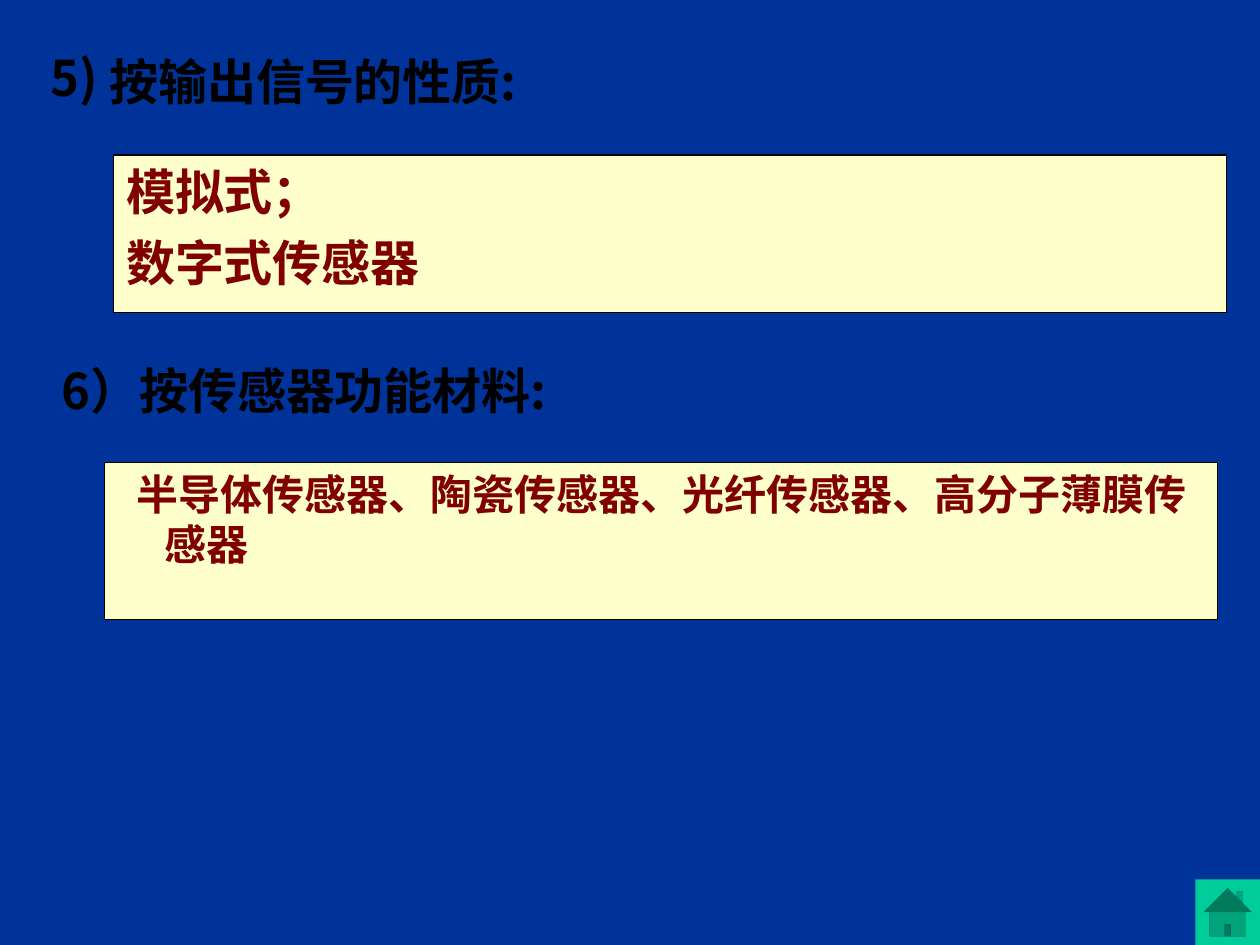
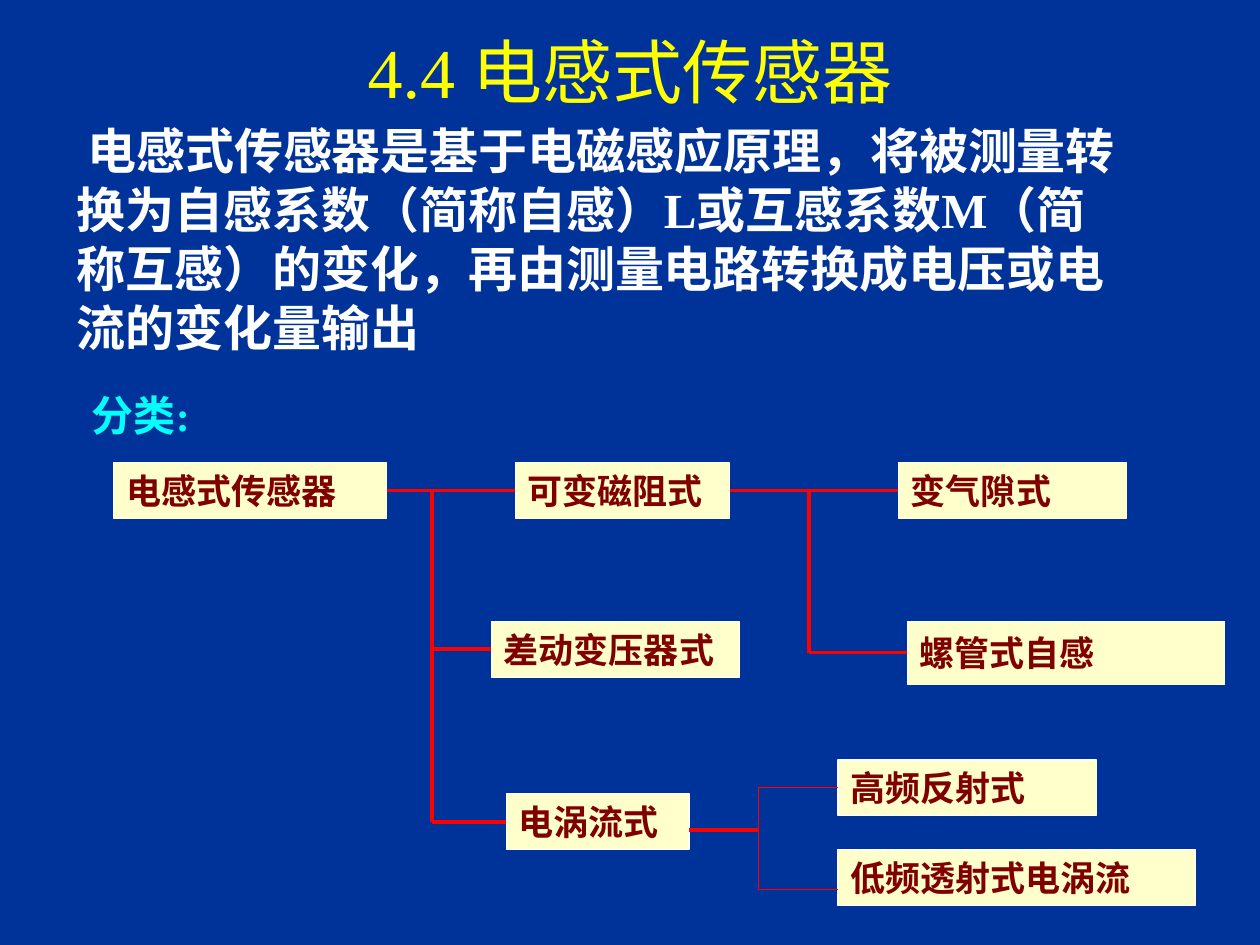
import pptx
import pptx.util
import pptx.dml.color
import pptx.enum.shapes
import pptx.enum.text
import pptx.oxml
import pptx.oxml.ns

Pt = pptx.util.Pt
RGBColor = pptx.dml.color.RGBColor
SHAPE = pptx.enum.shapes.MSO_SHAPE
ANCHOR = pptx.enum.text.MSO_ANCHOR
ALIGN = pptx.enum.text.PP_ALIGN

NAVY = RGBColor(0x00, 0x33, 0x99)
CREAM = RGBColor(0xFF, 0xFF, 0xCC)
MAROON = RGBColor(0x80, 0x00, 0x00)
BLACK = RGBColor(0x00, 0x00, 0x00)
WHITE = RGBColor(0xFF, 0xFF, 0xFF)
YELLOW = RGBColor(0xFF, 0xFF, 0x00)
CYAN = RGBColor(0x00, 0xFF, 0xFF)
RED = RGBColor(0xFF, 0x00, 0x00)
GREEN = RGBColor(0x00, 0xCC, 0x99)

SANS = "Noto Sans CJK SC"
SERIF = "Times New Roman"


def write(box, lines, size, color, font, bold=True, align=ALIGN.LEFT,
          anchor=ANCHOR.TOP, margin=0, indent=0):
    frame = box.text_frame
    frame.word_wrap = True
    frame.vertical_anchor = anchor
    for number, line in enumerate(lines):
        para = frame.add_paragraph() if number else frame.paragraphs[0]
        para.alignment = align
        para.line_spacing = Pt(size * 1.2)
        para.space_before = Pt(7 if number else 0)
        properties = para._p.get_or_add_pPr()
        properties.set("marL", str(Pt(margin)))
        properties.set("indent", str(Pt(indent)))
        properties.append(pptx.oxml.parse_xml(
            f"<a:buNone {pptx.oxml.ns.nsdecls('a')}/>"))
        span = para.add_run()
        span.text = line
        span.font.name = font
        span.font.size = Pt(size)
        span.font.bold = bold
        span.font.color.rgb = color
        span._r.get_or_add_rPr().append(pptx.oxml.parse_xml(
            f'<a:ea {pptx.oxml.ns.nsdecls("a")} typeface="{SANS}"/>'))


def add_panel(page, left, top, width, height, outline):
    panel = page.shapes.add_shape(SHAPE.RECTANGLE, Pt(left), Pt(top), Pt(width), Pt(height))
    panel.shadow.inherit = False
    panel.fill.solid()
    panel.fill.fore_color.rgb = CREAM
    panel.line.color.rgb = outline
    panel.line.width = Pt(0.75)
    return panel


deck = pptx.Presentation()
deck.slide_width = Pt(720)
deck.slide_height = Pt(540)
deck.slide_master.background.fill.solid()
deck.slide_master.background.fill.fore_color.rgb = NAVY

page = deck.slides.add_slide(deck.slide_layouts[6])
headings = [
    ("5)", 21.6, 23.8, 48),
    ("按输出信号的性质:", 55.4, 25.9, 270),
    ("6）按传感器功能材料:", 28.1, 202.3, 330),
]
for text, left, top, width in headings:
    box = page.shapes.add_textbox(Pt(left), Pt(top), Pt(width), Pt(41))
    write(box, [text], 28, BLACK, SANS)

signal_panel = add_panel(page, 65, 88.5, 636, 90, BLACK)
write(signal_panel, ["模拟式；", "数字式传感器"], 28, MAROON, SANS, margin=27, indent=-27)
material_panel = add_panel(page, 59.8, 264.2, 636, 90, BLACK)
write(material_panel, ["半导体传感器、陶瓷传感器、光纤传感器、高分子薄膜传感器"],
      24, MAROON, SANS, margin=27, indent=-16)

home = page.shapes.add_shape(SHAPE.ACTION_BUTTON_HOME, Pt(683), Pt(502.5), Pt(37), Pt(37.5))
home.shadow.inherit = False
home.fill.solid()
home.fill.fore_color.rgb = GREEN
home.line.fill.background()

page = deck.slides.add_slide(deck.slide_layouts[1])
title = page.shapes.title
title.left, title.top, title.width, title.height = Pt(54), Pt(15), Pt(612), Pt(51)
write(title, ["4.4 电感式传感器"], 40, YELLOW, SERIF, bold=False,
      align=ALIGN.CENTER, anchor=ANCHOR.MIDDLE)

body = page.placeholders[1]
body.left, body.top, body.width, body.height = Pt(36.7), Pt(65.5), Pt(612), Pt(158.4)
write(body, ["电感式传感器是基于电磁感应原理，将被测量转换为自感系数（简称自感）L或互感系数M"
             "（简称互感）的变化，再由测量电路转换成电压或电流的变化量输出"],
      28, WHITE, SERIF, indent=6)

label = page.shapes.add_textbox(Pt(45.4), Pt(218.9), Pt(84), Pt(36))
write(label, ["分类:"], 24, CYAN, SERIF)

tree = {
    "电感式传感器": (65, 264.4, 156, 32),
    "可变磁阻式": (294.5, 264.4, 122.4, 32),
    "差动变压器式": (280.8, 355, 141.8, 32),
    "电涡流式": (289.4, 453.6, 104.4, 32),
    "变气隙式": (513.4, 264.4, 130.3, 32),
    "螺管式自感": (518.4, 355, 181.4, 36),
    "高频反射式": (478.8, 434.2, 147.6, 32),
    "低频透射式电涡流": (478.8, 485.3, 204.5, 32),
}
nodes = {}
for name, place in tree.items():
    nodes[name] = add_panel(page, *place, WHITE)
    write(nodes[name], [name], 20, MAROON, SERIF, anchor=ANCHOR.MIDDLE)

root_x, reluctance_x, eddy_x = 247, 462.2, 433.4
top_y, differential_y, eddy_y = 280.4, 371, 469.6
solenoid_y, high_y, low_y, stub_y = 373, 450.2, 508.3, 474.5
branches = [
    ("电感式传感器", "可变磁阻式", 221, top_y, 294.5, top_y, 2),
    (None, None, root_x, top_y, root_x, eddy_y, 2),
    (None, "差动变压器式", root_x, differential_y, 280.8, differential_y, 2.25),
    (None, "电涡流式", root_x, eddy_y, 289.4, eddy_y, 2),
    ("可变磁阻式", "变气隙式", 416.9, top_y, 513.4, top_y, 2),
    (None, None, reluctance_x, top_y, reluctance_x, solenoid_y, 2),
    (None, "螺管式自感", reluctance_x, solenoid_y, 518.4, solenoid_y, 2),
    (None, None, 393.8, stub_y, eddy_x, stub_y, 2.25),
    (None, None, eddy_x, high_y, eddy_x, low_y, 0.75),
    (None, "高频反射式", eddy_x, high_y, 478.8, high_y, 0.75),
    (None, None, eddy_x, low_y, 478.8, low_y, 0.75),
]
for parent, child, x1, y1, x2, y2, weight in branches:
    branch = page.shapes.add_connector(
        pptx.enum.shapes.MSO_CONNECTOR.STRAIGHT, Pt(x1), Pt(y1), Pt(x2), Pt(y2))
    if parent:
        branch.begin_connect(nodes[parent], 3)
    if child:
        branch.end_connect(nodes[child], 1)
    branch.line.color.rgb = RED
    branch.line.width = Pt(weight)
    branch._element.spPr.append(pptx.oxml.parse_xml(
        f"<a:effectLst {pptx.oxml.ns.nsdecls('a')}/>"))

deck.save("out.pptx")
